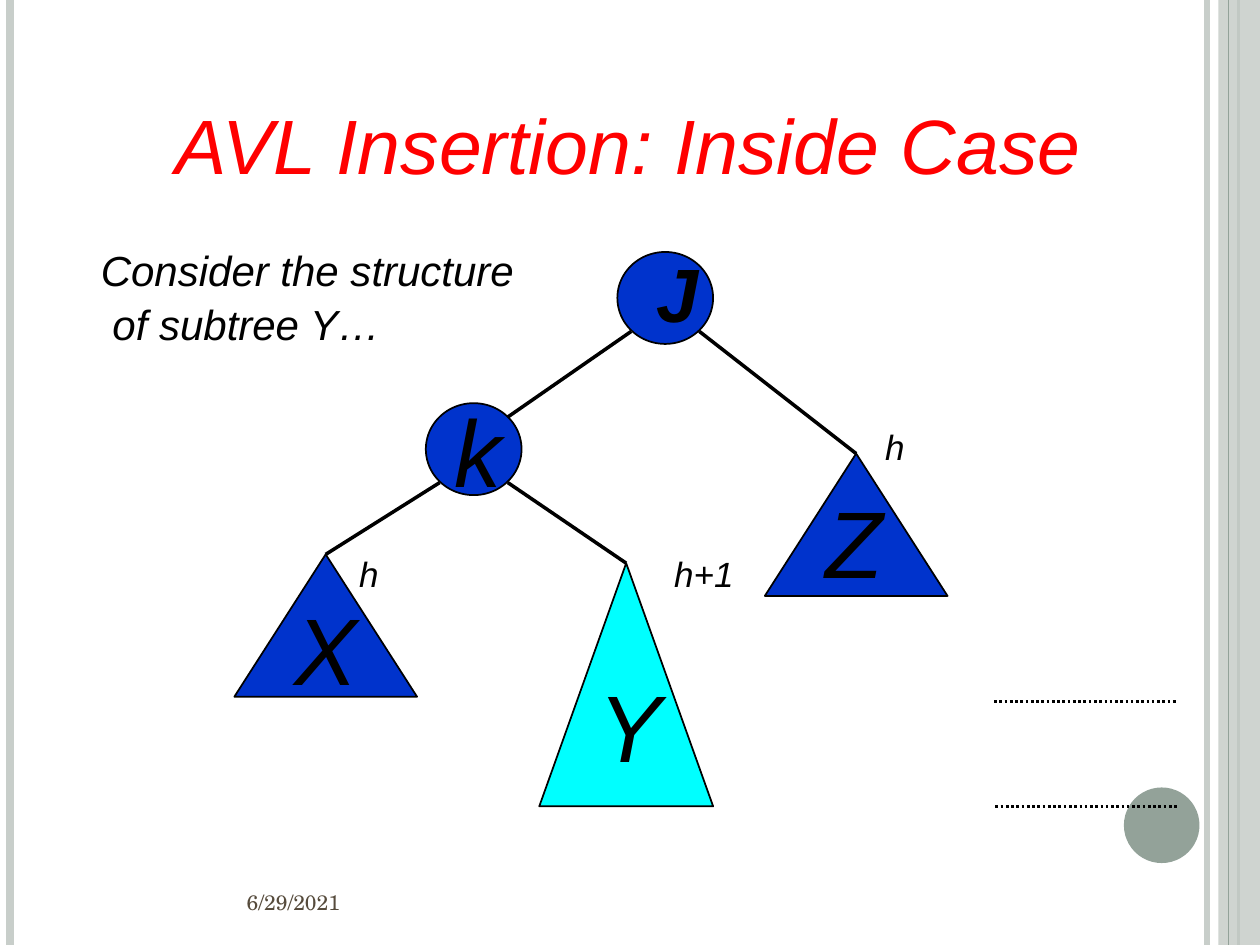
from dataclasses import dataclass

from lxml.etree import SubElement
from pptx import Presentation
from pptx.dml.color import RGBColor as RGB
from pptx.enum.dml import MSO_LINE
from pptx.enum.shapes import MSO_CONNECTOR, MSO_SHAPE as SHAPE
from pptx.enum.text import MSO_ANCHOR as ANCHOR, MSO_AUTO_SIZE, PP_ALIGN as ALIGN
from pptx.oxml.ns import qn
from pptx.util import Inches, Pt


@dataclass(frozen=True)
class Theme:
    black: RGB = RGB.from_string("000000")
    red: RGB = RGB.from_string("FF0000")
    blue: RGB = RGB.from_string("0033CC")
    cyan: RGB = RGB.from_string("00FFFF")
    sage: RGB = RGB.from_string("93A299")
    mist: RGB = RGB.from_string("C8CECA")
    brown: RGB = RGB.from_string("564B3C")
    sans: str = "Arial"
    serif: str = "TeX Gyre Schola"
    title: int = 44
    node: int = 54
    body: int = 24
    height: int = 20
    date: int = 12


theme = Theme()


def write(box, text, size, color=theme.black, font=theme.sans, italic=True,
          bold=False, align=ALIGN.LEFT, anchor=ANCHOR.BOTTOM, spacing=1.0):
    frame = box.text_frame
    frame.auto_size = MSO_AUTO_SIZE.NONE
    frame.word_wrap = True
    frame.vertical_anchor = anchor
    frame.margin_left = frame.margin_right = frame.margin_top = frame.margin_bottom = 0
    frame.text = text
    para = frame.paragraphs[0]
    para.alignment = align
    para.line_spacing = spacing
    for span in para.runs:
        span.font.name = font
        span.font.size = Pt(size)
        span.font.color.rgb = color
        span.font.italic = italic
        span.font.bold = bold
    return para


def draw_line(page, x1, y1, x2, y2, width, color=theme.black, dash=None):
    line = page.shapes.add_connector(
        MSO_CONNECTOR.STRAIGHT, Inches(x1), Inches(y1), Inches(x2), Inches(y2))
    line.line.color.rgb = color
    line.line.width = Pt(width)
    if dash:
        line.line.dash_style = dash
    SubElement(line._element.spPr, qn("a:effectLst"))
    return line


deck = Presentation()
deck.slide_width, deck.slide_height = Inches(10), Inches(7.5)
page = deck.slides.add_slide(deck.slide_layouts[5])

for x, width, color in [(9.58, 3, theme.mist), (0.08, 4.5, theme.mist),
                        (9.83, 1.5, theme.sage)]:
    draw_line(page, x, 0, x, 7.5, width, color)
for kind, left, top, width, height, color in [
        (SHAPE.RECTANGLE, 9.67, 0, 0.33, 7.5, theme.mist),
        (SHAPE.OVAL, 8.92, 6.25, 0.6, 0.6, theme.sage)]:
    trim = page.shapes.add_shape(
        kind, Inches(left), Inches(top), Inches(width), Inches(height))
    trim.shadow.inherit = False
    trim.fill.solid()
    trim.fill.fore_color.rgb = color
    trim.line.fill.background()
    if kind == SHAPE.RECTANGLE:
        tint = trim._element.spPr.find(qn("a:solidFill"))[0]
        SubElement(tint, qn("a:alpha"), val="87000")
draw_line(page, 9.75, 0, 9.75, 7.5, 0.75, theme.sage)

title = page.shapes.title
title.left, title.top = Inches(1.39), Inches(0.75)
title.width, title.height = Inches(7.4), Inches(0.76)
write(title, "AVL Insertion: Inside Case", theme.title, theme.red)

tree = {}
for name, kind, left, top, width, height, color in [
        ("J", SHAPE.OVAL, 4.9, 2, 0.76, 0.73, theme.blue),
        ("k", SHAPE.OVAL, 3.38, 3.2, 0.76, 0.73, theme.blue),
        ("X", SHAPE.ISOSCELES_TRIANGLE, 1.86, 4.4, 1.45, 1.13, theme.blue),
        ("Y", SHAPE.ISOSCELES_TRIANGLE, 4.28, 4.47, 1.38, 1.93, theme.cyan),
        ("Z", SHAPE.ISOSCELES_TRIANGLE, 6.07, 3.6, 1.45, 1.13, theme.blue)]:
    part = page.shapes.add_shape(
        kind, Inches(left), Inches(top), Inches(width), Inches(height))
    part.shadow.inherit = False
    part.fill.solid()
    part.fill.fore_color.rgb = color
    part.line.color.rgb = theme.black
    part.line.width = Pt(1)
    tree[name] = part

draw_line(page, 5.01, 2.63, 4.03, 3.31, 2)
for x, y, subtree in [(3.49, 3.83, "X"), (4.03, 3.83, "Y"), (5.55, 2.63, "Z")]:
    edge = draw_line(page, x, y, x, y, 2)
    edge.end_connect(tree[subtree], 0)

for left, top in [(7.89, 5.57), (7.9, 6.4)]:
    draw_line(page, left, top, left + 1.45, top, 1.5, dash=MSO_LINE.ROUND_DOT)

for text, left, top, width, height, style in [
        ("Consider the structure\v of subtree Y…", 0.8, 1.94, 3.5, 0.83,
         dict(size=theme.body, spacing=1.07)),
        ("k", 3.61, 3.09, 0.5, 0.93, dict(size=theme.node)),
        ("X", 2.34, 4.66, 0.6, 0.93, dict(size=theme.node)),
        ("Y", 4.75, 5.27, 0.6, 0.93, dict(size=theme.node)),
        ("Z", 6.55, 3.81, 0.6, 0.93, dict(size=theme.node)),
        ("h", 2.85, 4.36, 0.2, 0.36, dict(size=theme.height)),
        ("h+1", 5.35, 4.36, 0.55, 0.36, dict(size=theme.height)),
        ("h", 6.98, 3.35, 0.2, 0.36, dict(size=theme.height, align=ALIGN.RIGHT)),
        ("6/29/2021", 0.5, 6.97, 2.2, 0.38,
         dict(size=theme.date, color=theme.brown, font=theme.serif, italic=False,
              align=ALIGN.RIGHT, anchor=ANCHOR.MIDDLE))]:
    box = page.shapes.add_textbox(
        Inches(left), Inches(top), Inches(width), Inches(height))
    write(box, text, **style)

root_box = page.shapes.add_textbox(Inches(5.21), Inches(1.78), Inches(0.45), Inches(0.93))
root_para = write(root_box, "j", theme.node, bold=True)
root_para.runs[0]._r.get_or_add_rPr().set("cap", "small")

deck.save("out.pptx")
